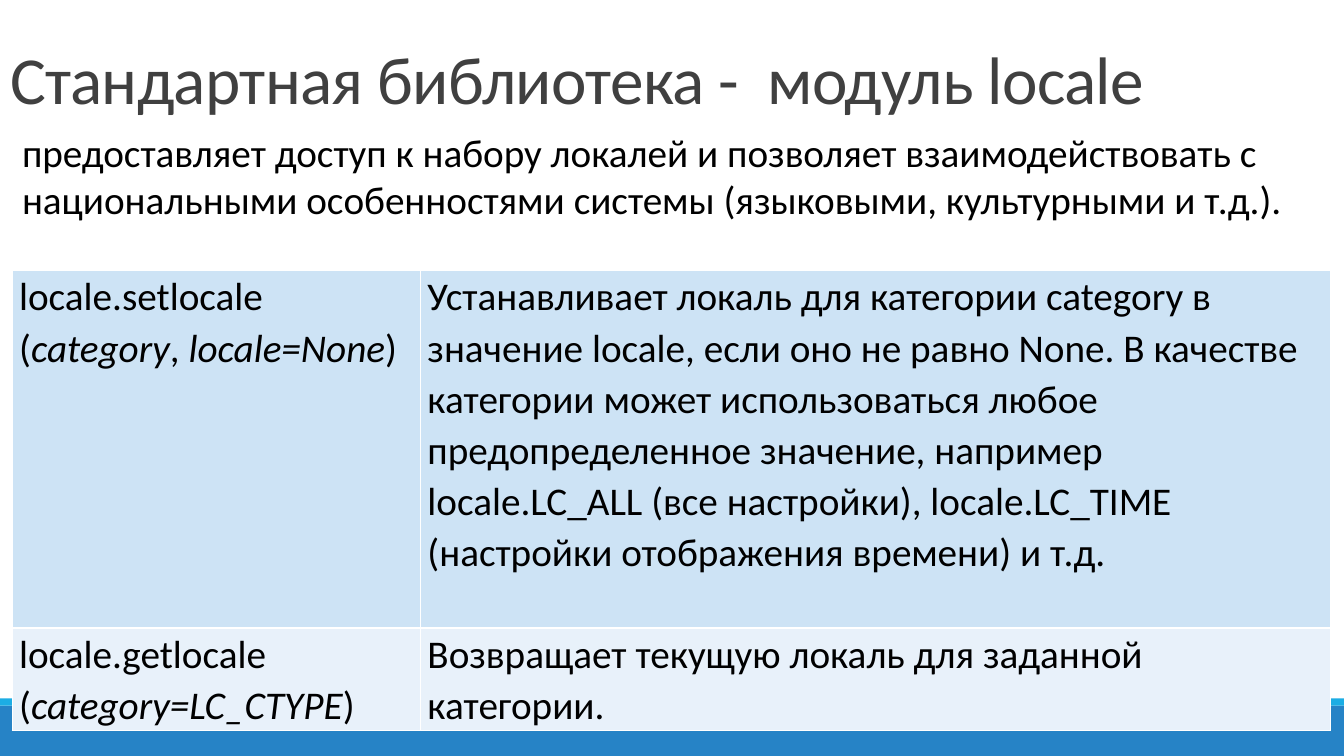
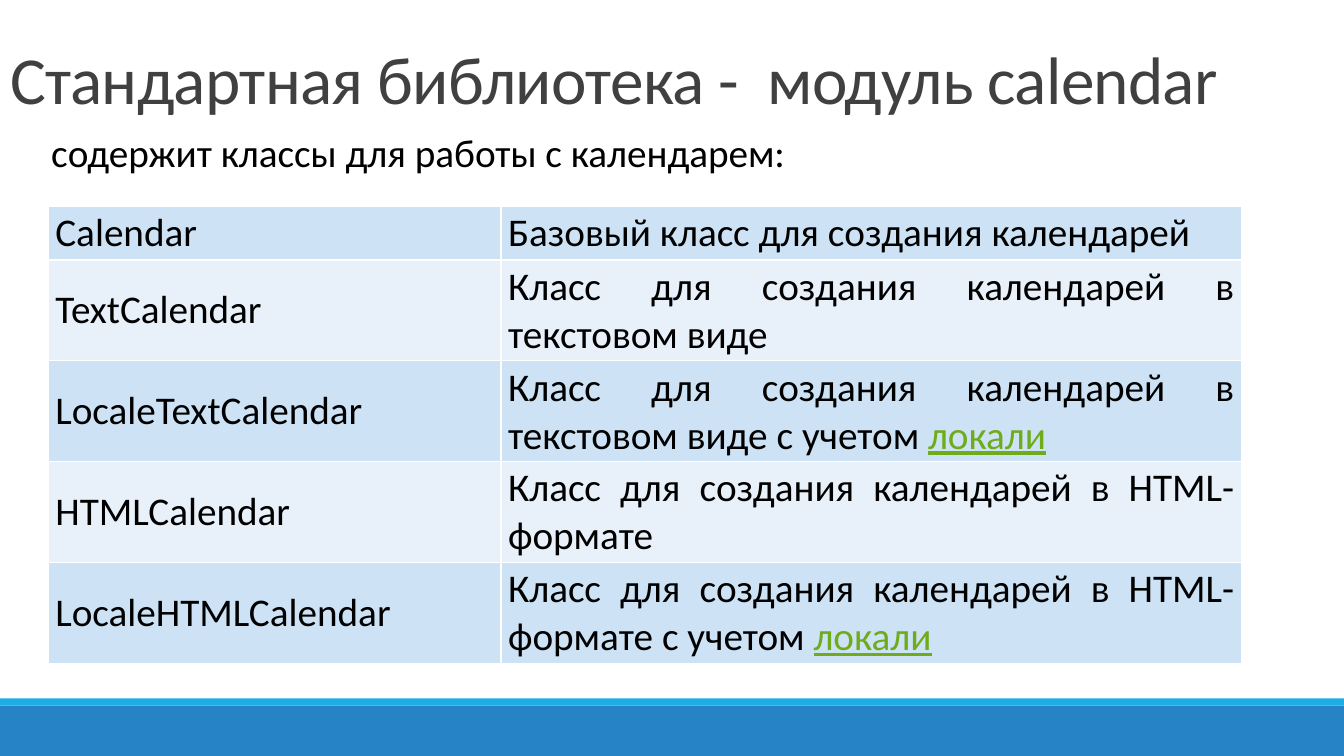
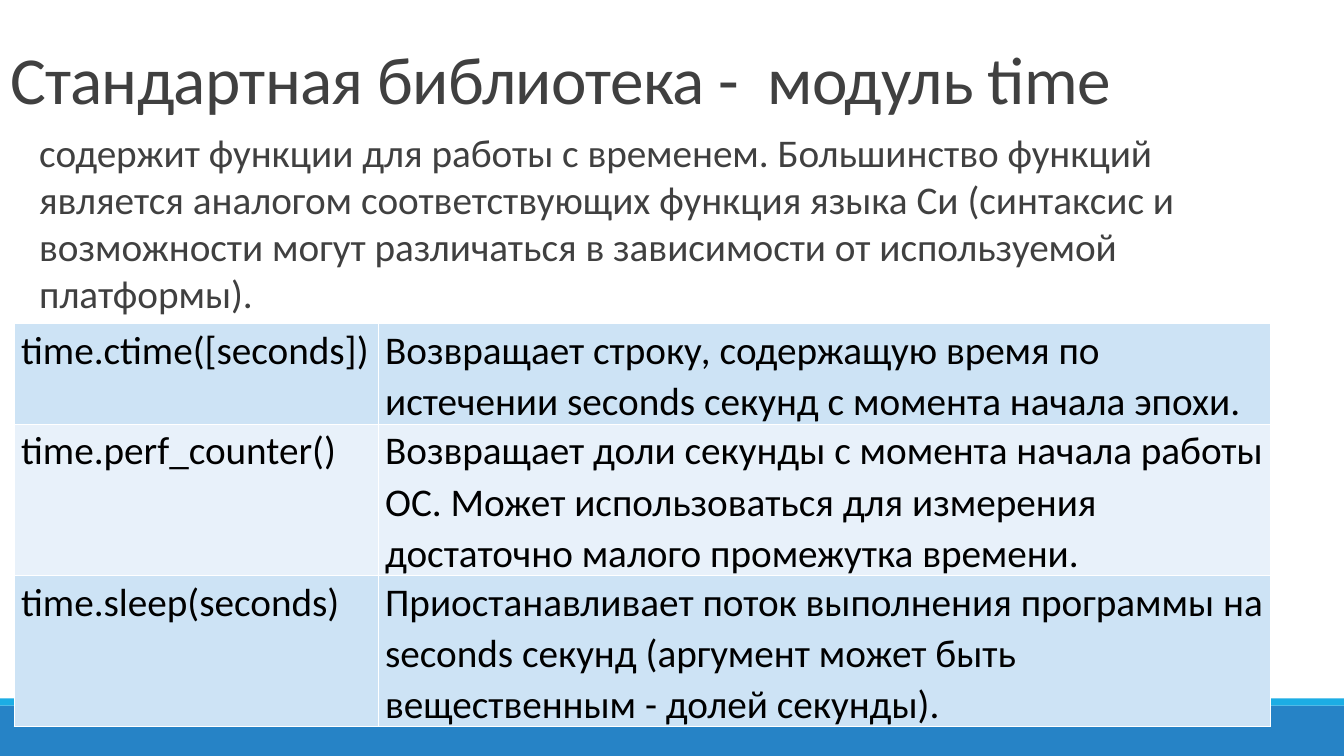
import lxml.etree
import pptx
import pptx.dml.color
import pptx.enum.shapes
import pptx.enum.text
import pptx.oxml.ns
import pptx.util

Inches = pptx.util.Inches
Align = pptx.enum.text.PP_ALIGN
Anchor = pptx.enum.text.MSO_ANCHOR
Fit = pptx.enum.text.MSO_AUTO_SIZE

BLACK, GREY, GREEN, WHITE = "000000", "404040", "6EAC1C", "FFFFFF"
STRIPES = "CDE3F5", "E8F1FA"
BANDS = (7, 0.5, "2683C6"), (6.93, 0.07, "1CADE4")
WIDE, TALL = 13.33, 7.5
ITALIC = {"italic": True}
LINK = {"underline": True, "color": GREEN}
CODE = {"pad": 0, "anchor": Anchor.TOP, "form": {"line_spacing": 1.07}}
PROSE = {"pad": 0.03, "anchor": Anchor.MIDDLE, "form": {"alignment": Align.JUSTIFY}}


def tint(code):
    return pptx.dml.color.RGBColor.from_string(code)


def dress(thing, form):
    for key, value in form.items():
        setattr(thing, key, value)


class Deck:
    """Holds the deck style and the slide being filled."""

    def __init__(self):
        self.deck = pptx.Presentation()
        dress(self.deck, {"slide_width": Inches(WIDE), "slide_height": Inches(TALL)})
        self.slide = None

    def start(self, name):
        self.slide = self.deck.slides.add_slide(self.deck.slide_layouts[5])
        for top, high, code in BANDS:
            self.band(top, high, code)
        self.title("Стандартная библиотека -  модуль " + name)

    def band(self, top, high, code):
        rect = pptx.enum.shapes.MSO_SHAPE.RECTANGLE
        bar = self.slide.shapes.add_shape(rect, 0, Inches(top), Inches(WIDE), Inches(high))
        bar.shadow.inherit = False
        bar.fill.solid()
        bar.fill.fore_color.rgb = tint(code)
        bar.line.fill.background()

    def title(self, text):
        head = self.slide.shapes.title
        dress(head, {"left": 0, "top": 0, "width": Inches(WIDE), "height": Inches(1.22)})
        frame = head.text_frame
        dress(frame, {"vertical_anchor": Anchor.BOTTOM, "auto_size": Fit.NONE, "word_wrap": True})
        self.text(frame, text, {"size": pptx.util.Pt(48), "color": GREY},
                  {"alignment": Align.LEFT, "line_spacing": 0.85})
        frame.paragraphs[0].runs[0]._r.get_or_add_rPr().set("spc", "-50")

    def text(self, frame, parts, look=None, form=None):
        para = frame.paragraphs[0]
        dress(para, form or {})
        for part in [parts] if isinstance(parts, str) else parts:
            words, extra = (part, {}) if isinstance(part, str) else part
            style = {"name": "Calibri", "size": pptx.util.Pt(28), "color": BLACK,
                     **(look or {}), **extra}
            run = para.add_run()
            run.text = words
            run.font.color.rgb = tint(style.pop("color"))
            dress(run.font, style)

    def intro(self, left, width, high, text, color=BLACK, wrap=True):
        box = self.slide.shapes.add_textbox(
            Inches(left), Inches(1.22), Inches(width), Inches(high))
        dress(box.text_frame, {"word_wrap": wrap, "auto_size": Fit.SHAPE_TO_FIT_TEXT})
        self.text(box.text_frame, text, {"color": color})

    def table(self, left, top, cols, highs, rows, kind):
        grid = self.slide.shapes.add_table(
            len(rows), len(cols), Inches(left), Inches(top),
            Inches(sum(cols)), Inches(sum(highs))).table
        dress(grid, {"first_row": False, "horz_banding": False})
        for col, width in zip(grid.columns, cols):
            col.width = Inches(width)
        for num, (row, high, texts) in enumerate(zip(grid.rows, highs, rows)):
            row.height = Inches(high)
            for cell, parts in zip(row.cells, texts):
                self.cell(cell, parts, STRIPES[num % 2], kind)

    def cell(self, cell, parts, code, kind):
        side, pad = Inches(0.07), Inches(kind["pad"])
        dress(cell, {"margin_left": side, "margin_right": side, "margin_top": pad,
                     "margin_bottom": pad, "vertical_anchor": kind["anchor"]})
        self.edge(cell)
        cell.fill.solid()
        cell.fill.fore_color.rgb = tint(code)
        self.text(cell.text_frame, parts, form=kind["form"])

    def edge(self, cell):
        name = pptx.oxml.ns.qn
        props = cell._tc.get_or_add_tcPr()
        for side in "LRTB":
            line = lxml.etree.SubElement(props, name("a:ln" + side), w="12700")
            fill = lxml.etree.SubElement(line, name("a:solidFill"))
            lxml.etree.SubElement(fill, name("a:srgbClr"), val=WHITE)


def main():
    deck = Deck()

    deck.start("locale")
    deck.table(0.12, 2.68, (4.05, 9.03), (3.55, 1.01), [
        (["locale.setlocale (", ("category", ITALIC), ", ", ("locale=None", ITALIC), ")"],
         "Устанавливает локаль для категории category в значение locale, "
         "если оно не равно None. В качестве категории может использоваться "
         "любое предопределенное значение, например locale.LC_ALL (все "
         "настройки), locale.LC_TIME (настройки отображения времени) и т.д."),
        (["locale.getlocale (", ("category=LC_CTYPE", ITALIC), ")"],
         "Возвращает текущую локаль для заданной категории."),
    ], CODE)
    deck.intro(0.12, 12.95, 1.04,
               "предоставляет доступ к набору локалей и позволяет взаимодействовать с "
               "национальными особенностями системы (языковыми, культурными и т.д.).")

    deck.start("calendar")
    deck.intro(0.41, 7.56, 0.57, "содержит классы для работы с календарем:", wrap=False)
    base = "Класс для создания календарей в "
    rows = [("Calendar", "Базовый класс для создания календарей")]
    for name, form in ("Text", "текстовом виде"), ("HTML", "HTML-формате"):
        rows += [(name + "Calendar", base + form),
                 ("Locale" + name + "Calendar",
                  [base + form + " с учетом ", ("локали", LINK)])]
    deck.table(0.48, 2.05, (4.49, 7.34), (0.53, 1, 1, 1, 1), rows, PROSE)

    deck.start("time")
    deck.intro(0.29, 11.58, 1.99,
               "содержит функции для работы с временем. Большинство функций является "
               "аналогом соответствующих функция языка Си (синтаксис и возможности "
               "могут различаться в зависимости от используемой платформы).", GREY)
    deck.table(0.14, 3.21, (3.61, 8.85), (1, 1.5, 1.5), [
        ("time.ctime([seconds])",
         "Возвращает строку, содержащую время по истечении seconds секунд "
         "с момента начала эпохи."),
        ("time.perf_counter()",
         "Возвращает доли секунды с момента начала работы ОС. Может "
         "использоваться для измерения достаточно малого промежутка времени."),
        ("time.sleep(seconds)",
         "Приостанавливает поток выполнения программы на seconds секунд "
         "(аргумент может быть вещественным - долей секунды)."),
    ], CODE)

    deck.deck.save("out.pptx")


if __name__ == "__main__":
    main()
